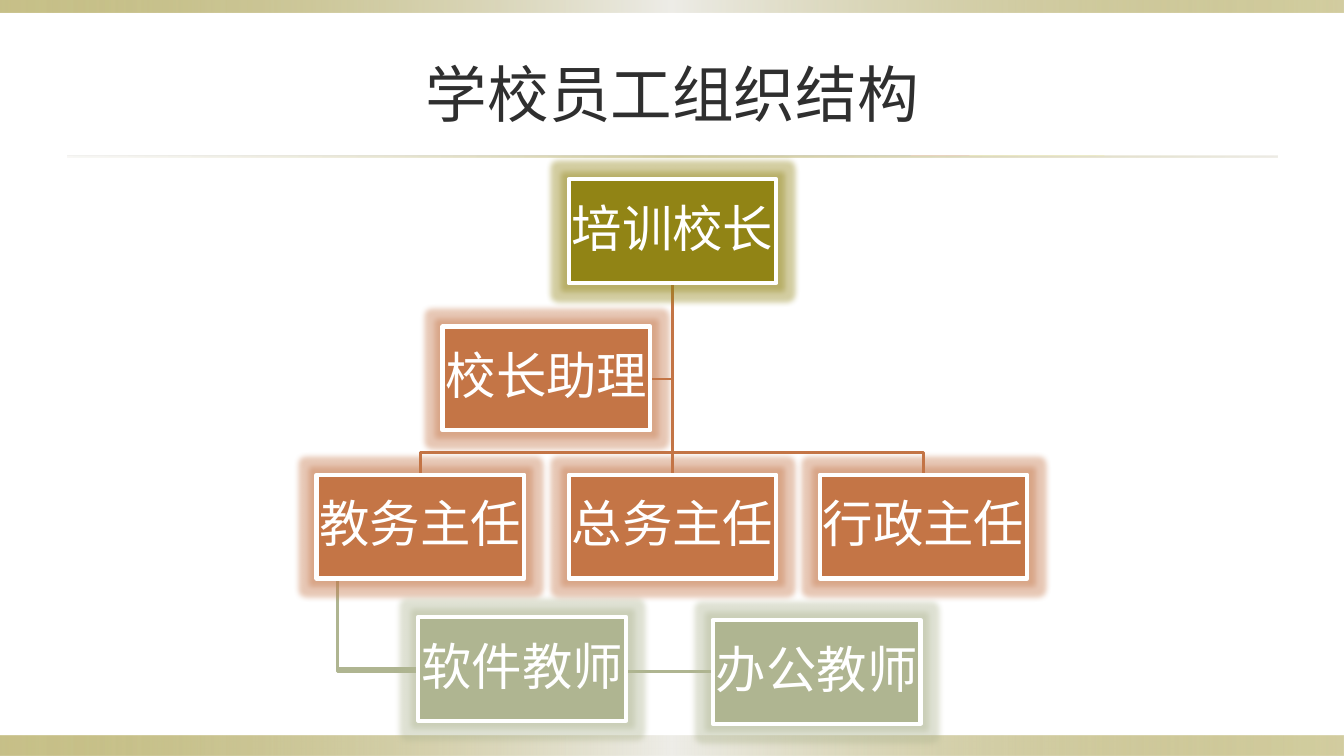
from lxml import etree
from pptx import Presentation
from pptx.dml.color import RGBColor
from pptx.enum.shapes import MSO_CONNECTOR, MSO_SHAPE
from pptx.enum.text import MSO_ANCHOR, PP_ALIGN
from pptx.oxml import parse_xml
from pptx.oxml.ns import nsdecls, qn
from pptx.util import Inches, Pt

OLIVE = RGBColor(0x91, 0x84, 0x15)
ORANGE = RGBColor(0xC4, 0x75, 0x46)
SAGE = RGBColor(0xAF, 0xB5, 0x91)
PALE = RGBColor(0xEE, 0xED, 0xE8)
SAND = RGBColor(0xDC, 0xD9, 0xCC)
DARK = RGBColor(0x2F, 0x2F, 0x2F)
WHITE = RGBColor(0xFF, 0xFF, 0xFF)
FONT = "Roboto"
BOX_WIDTH, BOX_HEIGHT = 2.06, 1.03


def color_xml(color, opacity):
    return f'<a:srgbClr val="{color}"><a:alpha val="{opacity * 1000}"/></a:srgbClr>'


presentation = Presentation()
presentation.slide_width = Inches(13.33)
presentation.slide_height = Inches(7.5)
slide = presentation.slides.add_slide(presentation.slide_layouts[5])
shapes = slide.shapes

# Gradient bands at the edges and the rule under the title
band_stops = [(0, OLIVE, 50), (50, PALE, 100), (100, OLIVE, 40)]
rule_stops = [(0, SAND, 20), (50, OLIVE, 40), (100, SAND, 50)]
for left, top, width, height, stops in [
    (0, 7.3, 13.33, 0.2, band_stops),
    (0, 0, 13.33, 0.12, band_stops),
    (0.67, 1.54, 12, 0.02, rule_stops),
]:
    band = shapes.add_shape(MSO_SHAPE.RECTANGLE, Inches(left), Inches(top),
                            Inches(width), Inches(height))
    band.shadow.inherit = False
    band.line.fill.background()
    band.fill.gradient()
    band.fill.gradient_angle = 0
    stop_list = band._element.spPr.find(qn("a:gradFill")).find(qn("a:gsLst"))
    for old_stop in list(stop_list):
        stop_list.remove(old_stop)
    for position, color, opacity in stops:
        stop_list.append(parse_xml(
            f'<a:gs {nsdecls("a")} pos="{position * 1000}">{color_xml(color, opacity)}</a:gs>'))

# Title
title = shapes.title
title.left, title.top = Inches(0.67), Inches(0.3)
title.width, title.height = Inches(12), Inches(1.25)
title.text_frame.text = "学校员工组织结构"
title.text_frame.vertical_anchor = MSO_ANCHOR.MIDDLE
paragraph = title.text_frame.paragraphs[0]
paragraph.alignment = PP_ALIGN.CENTER
paragraph.font.name = FONT
paragraph.font.size = Pt(44)
paragraph.font.color.rgb = DARK

# Bent lines between the levels
for color, points in [
    (ORANGE, [(6.67, 2.81), (6.67, 3.76), (6.45, 3.76)]),
    (ORANGE, [(6.67, 2.81), (6.67, 4.49), (9.16, 4.49), (9.16, 4.71)]),
    (SAGE, [(3.35, 5.74), (3.35, 6.66), (7.07, 6.66)]),
    (SAGE, [(3.35, 5.74), (3.35, 6.63), (4.15, 6.63)]),
    (ORANGE, [(6.67, 2.81), (6.67, 4.49), (4.17, 4.49), (4.17, 4.71)]),
]:
    start, *corners = [(Inches(x), Inches(y)) for x, y in points]
    builder = shapes.build_freeform(*start)
    builder.add_line_segments(corners, close=False)
    branch = builder.convert_to_shape()
    branch.shadow.inherit = False
    branch.fill.background()
    branch.line.color.rgb = color
    branch.line.width = Pt(2)

# Straight line behind the boxes
trunk = shapes.add_connector(MSO_CONNECTOR.STRAIGHT, Inches(6.67), Inches(2.81),
                             Inches(6.67), Inches(4.71))
trunk.line.color.rgb = ORANGE
trunk.line.width = Pt(2)
etree.SubElement(trunk._element.spPr, qn("a:effectLst"))

# Staff boxes with a soft glow
boxes = {}
for name, left, top, color in [
    ("培训校长", 5.64, 1.78, OLIVE),
    ("教务主任", 3.14, 4.71, ORANGE),
    ("软件教师", 4.15, 6.12, SAGE),
    ("办公教师", 7.07, 6.15, SAGE),
    ("总务主任", 5.64, 4.71, ORANGE),
    ("行政主任", 8.13, 4.71, ORANGE),
    ("校长助理", 4.39, 3.24, ORANGE),
]:
    box = shapes.add_shape(MSO_SHAPE.RECTANGLE, Inches(left), Inches(top),
                           Inches(BOX_WIDTH), Inches(BOX_HEIGHT))
    boxes[name] = box
    box.fill.solid()
    box.fill.fore_color.rgb = color
    box.line.color.rgb = WHITE
    box.line.width = Pt(3)
    box.shadow.inherit = False
    box._element.spPr.find(qn("a:effectLst")).append(parse_xml(
        f'<a:glow {nsdecls("a")} rad="{Pt(8)}">{color_xml(color, 40)}</a:glow>'))
    frame = box.text_frame
    frame.margin_left = frame.margin_right = Inches(0.03)
    frame.margin_top = frame.margin_bottom = Inches(0.03)
    frame.word_wrap = False
    frame.vertical_anchor = MSO_ANCHOR.MIDDLE
    frame.text = name
    paragraph = frame.paragraphs[0]
    paragraph.alignment = PP_ALIGN.CENTER
    paragraph.line_spacing = 0.9
    paragraph.font.name = FONT
    paragraph.font.size = Pt(36)
    paragraph.font.color.rgb = WHITE

trunk.begin_connect(boxes["培训校长"], 2)
trunk.end_connect(boxes["总务主任"], 0)

presentation.save("out.pptx")
